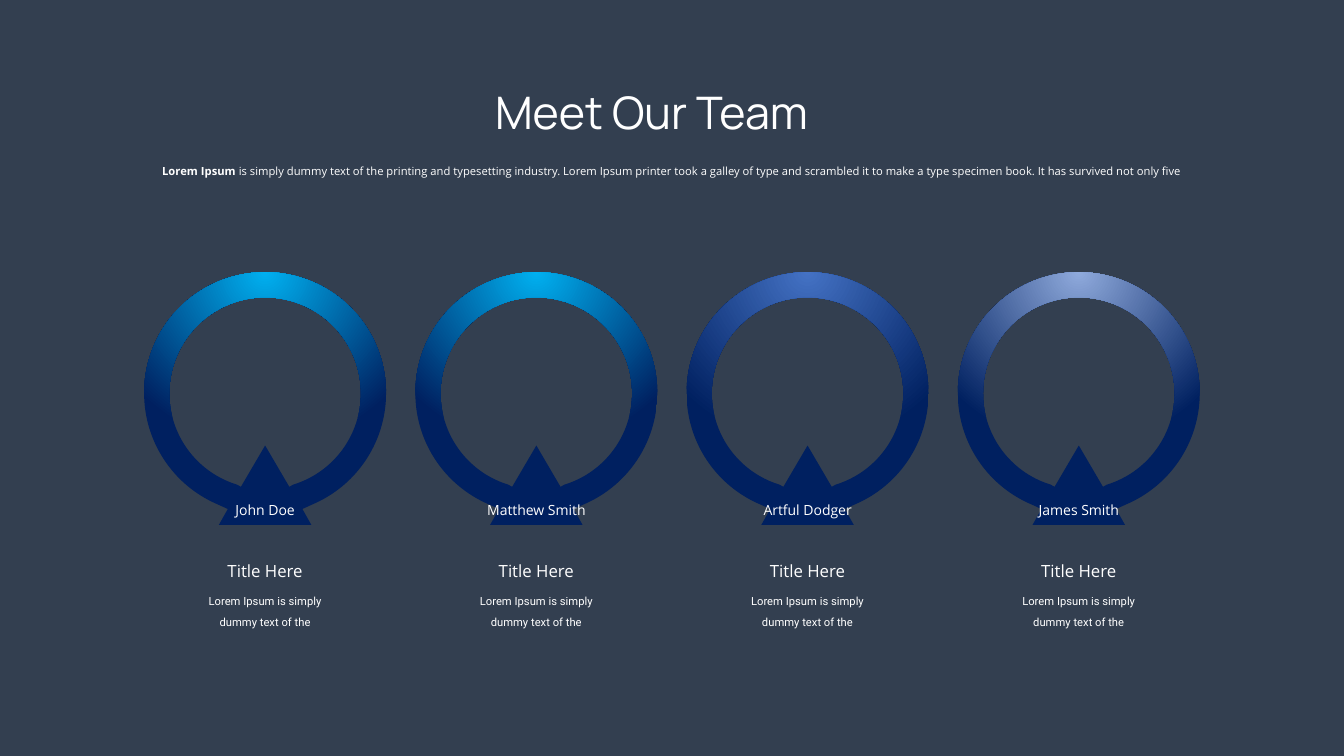
from itertools import pairwise
from math import cos, radians, sin

from lxml.etree import SubElement
from pptx import Presentation
from pptx.dml.color import RGBColor
from pptx.enum.text import MSO_ANCHOR, MSO_AUTO_SIZE, PP_ALIGN
from pptx.oxml.ns import qn
from pptx.util import Inches, Pt

COLORS = {
    "background": "333F50",
    "text": "FFFFFF",
    "navy": "002060",
    "cyan": "00B0F0",
    "blue": "4472C4",
    "pale": "8FAADC",
}
TEAM = [
    ("John Doe", "cyan"),
    ("Matthew Smith", "cyan"),
    ("Artful Dodger", "blue"),
    ("James Smith", "pale"),
]
INTRO = [
    ("Lorem Ipsum", True),
    (" is simply dummy text of the printing and typesetting industry. "
     "Lorem Ipsum printer took a galley of type and scrambled it to make "
     "a type specimen book. It has survived not only five", False),
]
FIRST_CENTER, PITCH = 2.63, 2.69
RING_CENTER_Y = 3.9
CONTOURS = [
    (1.2, 23, [(-0.37, 1.15), (-0.46, 1.31), (0.46, 1.31), (0.37, 1.15)]),
    (0.95, 17, [(-0.24, 0.93), (0, 0.52), (0.24, 0.93)]),
]


def rgb(name):
    return RGBColor.from_string(COLORS[name])


def place(shape, left, top, width, height):
    shape.left, shape.top = Inches(left), Inches(top)
    shape.width, shape.height = Inches(width), Inches(height)


def format_run(run, font, size, bold=False):
    run.font.name = font
    run.font.size = Pt(size)
    run.font.bold = bold
    run.font.color.rgb = rgb("text")


def add_title(slide, text):
    title = slide.shapes.title
    place(title, 4.81, 0.79, 3.72, 0.64)
    frame = title.text_frame
    frame.text = text
    frame.word_wrap = True
    frame.vertical_anchor = MSO_ANCHOR.TOP
    frame.auto_size = MSO_AUTO_SIZE.SHAPE_TO_FIT_TEXT
    frame.paragraphs[0].alignment = PP_ALIGN.LEFT
    format_run(frame.paragraphs[0].runs[0], "Manrope", 32)


def add_label(slide, center, top, width, height, parts, font, size, spacing=None):
    box = slide.shapes.add_textbox(
        Inches(center - width / 2), Inches(top), Inches(width), Inches(height))
    frame = box.text_frame
    frame.word_wrap = True
    frame.auto_size = MSO_AUTO_SIZE.SHAPE_TO_FIT_TEXT
    paragraph = frame.paragraphs[0]
    paragraph.alignment = PP_ALIGN.CENTER
    paragraph.line_spacing = spacing
    for text, bold in parts:
        run = paragraph.add_run()
        run.text = text
        format_run(run, font, size, bold)


def arc_stops(gap):
    return [gap, 90, 180, 270, 360 - gap]


def contour_points(center, radius, gap, corners):
    arc = [(radius * sin(radians(angle)), radius * cos(radians(angle)))
           for angle in arc_stops(gap)]
    return [(Inches(center + x), Inches(RING_CENTER_Y + y)) for x, y in arc + corners]


def round_contours(ring):
    outline = next(ring.element.iter(qn("a:pathLst")))[0]
    for start, (radius, gap, _) in zip(outline.findall(qn("a:moveTo")), CONTOURS):
        chord = start.getnext()
        for begin, end in pairwise(arc_stops(gap)):
            arc = outline.makeelement(qn("a:arcTo"), {
                "wR": str(int(Inches(radius))),
                "hR": str(int(Inches(radius))),
                "stAng": str((90 - begin) % 360 * 60000),
                "swAng": str((begin - end) * 60000),
            })
            outline.replace(chord, arc)
            chord = arc.getnext()


def add_ring(slide, center, color):
    outer, inner = [contour_points(center, *contour) for contour in CONTOURS]
    builder = slide.shapes.build_freeform(*outer[0])
    builder.add_line_segments(outer[1:])
    builder.move_to(*inner[0])
    builder.add_line_segments(inner[1:])
    ring = builder.convert_to_shape()
    round_contours(ring)
    ring.shadow.inherit = False
    ring.line.fill.background()
    fill_from_top(ring, color)


def fill_from_top(shape, color):
    shape.fill.gradient()
    for stop, name, position in zip(shape.fill.gradient_stops, (color, "navy"), (0, 1)):
        stop.color.rgb = rgb(name)
        stop.position = position
    gradient = shape.element.spPr.find(qn("a:gradFill"))
    linear = gradient.find(qn("a:lin"))
    radial = gradient.makeelement(qn("a:path"), {"path": "circle"})
    SubElement(radial, qn("a:fillToRect"), l="43000", r="43000", b="100000")
    gradient.replace(linear, radial)


def add_member(slide, center, name, color):
    add_ring(slide, center, color)
    add_label(slide, center, 4.93, 1.44, 0.27, [(name, False)], "Open Sans", 10)
    add_label(slide, center, 5.51, 1.1, 0.3, [("Title Here", False)], "Open Sans", 12)
    add_label(slide, center, 5.77, 1.33, 0.49,
              [("Lorem Ipsum is simply dummy text of the", False)], "Roboto", 8, Pt(15))


def main():
    deck = Presentation()
    deck.slide_width, deck.slide_height = Inches(13.33), Inches(7.5)
    slide = deck.slides.add_slide(deck.slide_layouts[5])
    slide.background.fill.solid()
    slide.background.fill.fore_color.rgb = rgb("background")
    add_title(slide, "Meet Our Team")
    add_label(slide, 6.67, 1.45, 10.38, 0.33, INTRO, "Open Sans", 8, 2.0)
    for index, (name, color) in enumerate(TEAM):
        add_member(slide, FIRST_CENTER + index * PITCH, name, color)
    deck.save("out.pptx")


if __name__ == "__main__":
    main()
